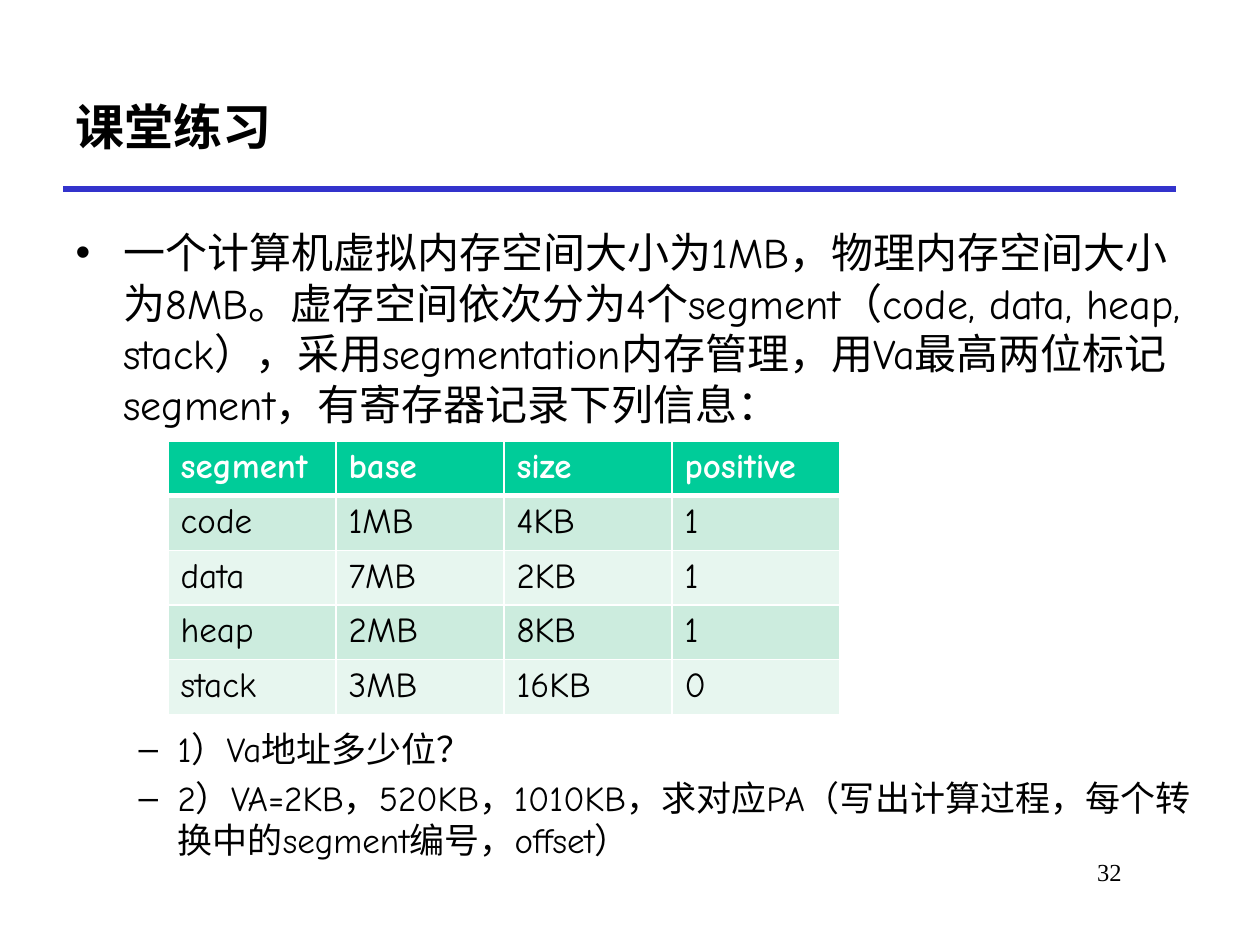
from dataclasses import dataclass
from typing import NamedTuple

import pptx
import pptx.dml.color
import pptx.enum.shapes
import pptx.enum.text
import pptx.oxml
import pptx.oxml.ns
import pptx.util
from lxml import etree

GRID_COLS, GRID_ROWS = 120, 90


@dataclass(frozen=True)
class Theme:
    font: str = "Comic Neue"
    number_font: str = "Times New Roman"
    text: str = "000000"
    white: str = "FFFFFF"
    rule: str = "3333CC"
    header: str = "00CC99"
    bands: tuple = ("CCECDE", "E7F6EF")
    title_size: int = 28
    body_size: int = 24
    small_size: int = 20
    number_size: int = 14


class Box(NamedTuple):
    """Left, top, width and height in grid columns and rows."""
    left: float
    top: float
    width: float
    height: float


class Item(NamedTuple):
    text: str
    level: int
    bullet: str
    size: int
    margin: float
    hang: float
    before: float


THEME = Theme()
TITLE_BOX = Box(6, 6, 106, 12)
RULE_BOX = Box(6, 18, 106, 0)
BODY_BOX = Box(6, 21, 109, 58)
TABLE_BOX = Box(16, 42, 64, 24.4)
NUMBER_BOX = Box(91, 81, 17, 6)
TABLE_GAP = 171  # points left free between the statement and the questions

ITEMS = [
    Item("一个计算机虚拟内存空间大小为1MB，物理内存空间大小为8MB。"
         "虚存空间依次分为4个segment（code, data, heap, stack），"
         "采用segmentation内存管理，用Va最高两位标记segment，有寄存器记录下列信息：",
         0, "•", THEME.body_size, 0.38, 0.38, 0),
    Item("1）Va地址多少位？", 1, "–", THEME.small_size, 0.81, 0.31, TABLE_GAP),
    Item("2）VA=2KB，520KB，1010KB，求对应PA"
         "（写出计算过程，每个转换中的segment编号，offset）",
         1, "–", THEME.small_size, 0.81, 0.31, 4),
]
SEGMENTS = [
    ("segment", "base", "size", "positive"),
    ("code", "1MB", "4KB", "1"),
    ("data", "7MB", "2KB", "1"),
    ("heap", "2MB", "8KB", "1"),
    ("stack", "3MB", "16KB", "0"),
]


def rgb(color: str) -> pptx.dml.color.RGBColor:
    return pptx.dml.color.RGBColor.from_string(color)


def to_emu(prs, box: Box) -> tuple:
    col, row = prs.slide_width / GRID_COLS, prs.slide_height / GRID_ROWS
    return (round(box.left * col), round(box.top * row),
            round(box.width * col), round(box.height * row))


def place(prs, sp, box: Box) -> None:
    sp.left, sp.top, sp.width, sp.height = to_emu(prs, box)


def style(p, size: int, color: str = THEME.text, bold: bool = False,
          font: str = THEME.font) -> None:
    for r in p.runs:
        r.font.name, r.font.size, r.font.bold = font, pptx.util.Pt(size), bold
        r.font.color.rgb = rgb(color)


def add_title(prs, slide, text: str) -> None:
    sp = slide.shapes.title
    place(prs, sp, TITLE_BOX)
    tf = sp.text_frame
    tf.text = text
    tf.auto_size = pptx.enum.text.MSO_AUTO_SIZE.NONE
    tf.vertical_anchor = pptx.enum.text.MSO_ANCHOR.MIDDLE
    p = tf.paragraphs[0]
    p.alignment = pptx.enum.text.PP_ALIGN.LEFT
    style(p, THEME.title_size, bold=True)


def add_rule(prs, slide) -> None:
    left, top, width, height = to_emu(prs, RULE_BOX)
    line = slide.shapes.add_connector(
        pptx.enum.shapes.MSO_CONNECTOR.STRAIGHT, left, top, left + width, top + height)
    line.line.color.rgb = rgb(THEME.rule)
    line.line.width = pptx.util.Pt(3)
    etree.SubElement(line._element.spPr, pptx.oxml.ns.qn("a:effectLst"))


def add_items(prs, slide, items: list) -> None:
    sp = slide.placeholders[1]
    place(prs, sp, BODY_BOX)
    tf = sp.text_frame
    tf.text = "\n".join(item.text for item in items)
    tf.auto_size = pptx.enum.text.MSO_AUTO_SIZE.NONE
    for p, item in zip(tf.paragraphs, items):
        p.level = item.level
        p.space_before = pptx.util.Pt(item.before)
        pPr = p._p.get_or_add_pPr()
        pPr.set("marL", str(pptx.util.Inches(item.margin)))
        pPr.set("indent", str(-pptx.util.Inches(item.hang)))
        etree.SubElement(pPr, pptx.oxml.ns.qn("a:buChar"), char=item.bullet)
        style(p, item.size)


def set_borders(cell, bottom: float) -> None:
    """White borders, one point wide except for the bottom one."""
    tcPr = cell._tc.get_or_add_tcPr()
    widths = {"lnL": 1, "lnR": 1, "lnT": 1, "lnB": bottom}
    for i, (tag, width) in enumerate(widths.items()):
        tcPr.insert(i, pptx.oxml.parse_xml(
            f'<a:{tag} {pptx.oxml.ns.nsdecls("a")} w="{pptx.util.Pt(width)}">'
            f'<a:solidFill><a:srgbClr val="{THEME.white}"/></a:solidFill></a:{tag}>'))


def add_segment_table(prs, slide, rows: list) -> None:
    table = slide.shapes.add_table(
        len(rows), len(rows[0]), *to_emu(prs, TABLE_BOX)).table
    for i, row in enumerate(rows):
        head = i == 0
        for j, text in enumerate(row):
            cell = table.cell(i, j)
            cell.text = text
            cell.fill.solid()
            cell.fill.fore_color.rgb = rgb(
                THEME.header if head else THEME.bands[(i - 1) % 2])
            # The edge below the header is shared with the first data row.
            set_borders(cell, bottom=3 if head else 1)
            style(cell.text_frame.paragraphs[0], THEME.small_size,
                  THEME.white if head else THEME.text, bold=head)


def add_page_number(prs, slide, text: str) -> None:
    tf = slide.shapes.add_textbox(*to_emu(prs, NUMBER_BOX)).text_frame
    tf.word_wrap = True
    tf.text = text
    p = tf.paragraphs[0]
    p.alignment = pptx.enum.text.PP_ALIGN.RIGHT
    style(p, THEME.number_size, font=THEME.number_font)


def main() -> None:
    prs = pptx.Presentation()
    prs.slide_width, prs.slide_height = pptx.util.Inches(10), pptx.util.Inches(7.5)
    slide = prs.slides.add_slide(prs.slide_layouts[1])
    add_rule(prs, slide)
    add_title(prs, slide, "课堂练习")
    add_items(prs, slide, ITEMS)
    add_page_number(prs, slide, "32")
    add_segment_table(prs, slide, SEGMENTS)
    prs.save("out.pptx")


if __name__ == "__main__":
    main()
